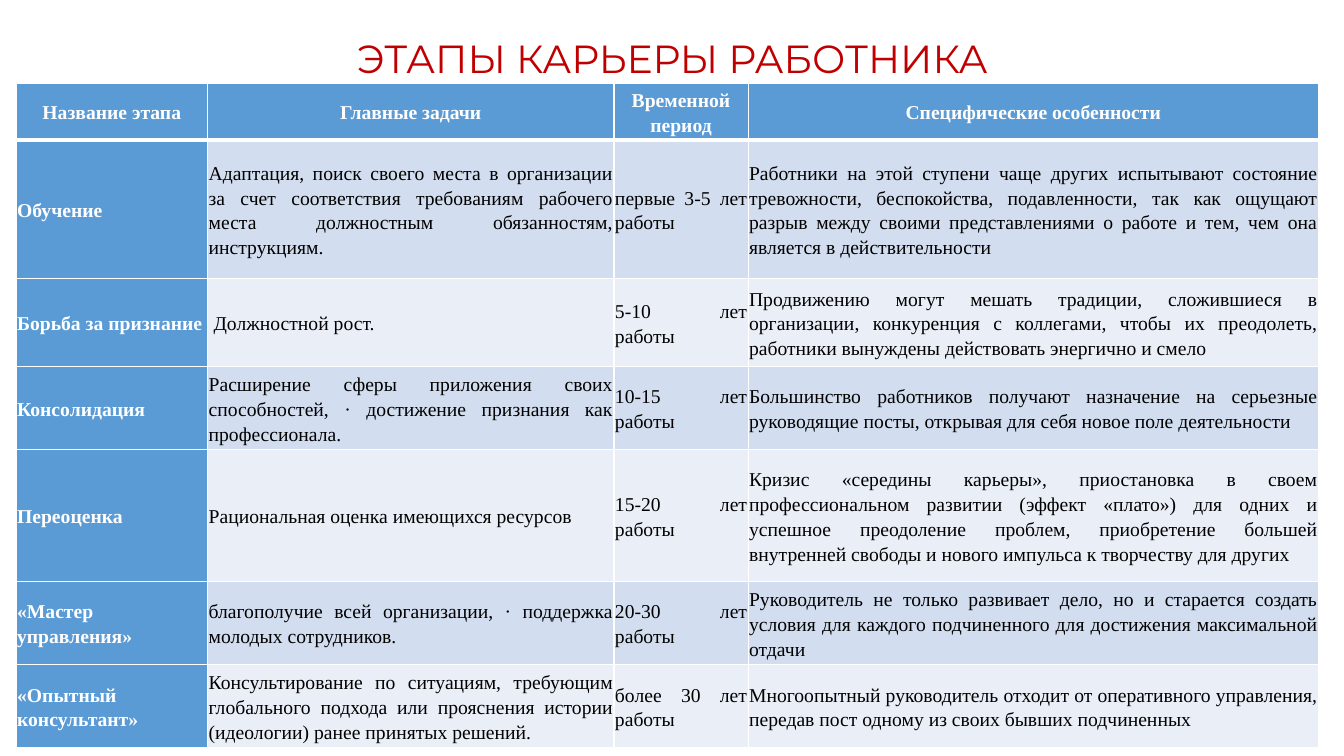
import pptx
import pptx.dml.color
import pptx.enum.text
import pptx.oxml
import pptx.oxml.ns
import pptx.util

Inches = pptx.util.Inches
Pt = pptx.util.Pt
RGBColor = pptx.dml.color.RGBColor
ALIGN = pptx.enum.text.PP_ALIGN
MIDDLE = pptx.enum.text.MSO_ANCHOR.MIDDLE

WHITE = RGBColor(0xFF, 0xFF, 0xFF)
BLACK = RGBColor(0x00, 0x00, 0x00)
RED = RGBColor(0xC0, 0x00, 0x00)
BLUE = RGBColor(0x5B, 0x9B, 0xD5)
BAND_DARK = RGBColor(0xD2, 0xDE, 0xEF)
BAND_LIGHT = RGBColor(0xEA, 0xEF, 0xF7)

COLUMN_WIDTHS = [1.9, 4.03, 1.33, 5.66]
ROW_HEIGHTS = [0.19, 1.38, 0.87, 0.72, 1.31, 0.72, 0.72]
STAGES = [
    ["Название этапа", "Главные задачи", "Временной период", "Специфические особенности"],
    ["Обучение",
     "Адаптация, поиск своего места в организации за счет соответствия требованиям "
     "рабочего места должностным обязанностям, инструкциям.",
     "первые 3-5 лет работы",
     "Работники на этой ступени чаще других испытывают состояние тревожности, "
     "беспокойства, подавленности, так как ощущают разрыв между своими "
     "представлениями о работе и тем, чем она является в действительности"],
    ["Борьба за признание",
     " Должностной рост.",
     "5-10 лет работы",
     "Продвижению могут мешать традиции, сложившиеся в организации, конкуренция с "
     "коллегами, чтобы их преодолеть, работники вынуждены действовать энергично и смело"],
    ["Консолидация",
     "Расширение сферы приложения своих способностей, · достижение признания как "
     "профессионала.",
     "10-15 лет работы",
     "Большинство работников получают назначение на серьезные руководящие посты, "
     "открывая для себя новое поле деятельности"],
    ["Переоценка",
     "Рациональная оценка имеющихся ресурсов",
     "15-20 лет работы",
     "Кризис «середины карьеры», приостановка в своем профессиональном развитии "
     "(эффект «плато») для одних и успешное преодоление проблем, приобретение большей "
     "внутренней свободы и нового импульса к творчеству для других"],
    ["«Мастер управления»",
     "благополучие всей организации, · поддержка молодых сотрудников.",
     "20-30 лет работы",
     "Руководитель не только развивает дело, но и старается создать условия для "
     "каждого подчиненного для достижения максимальной отдачи"],
    ["«Опытный консультант»",
     "Консультирование по ситуациям, требующим глобального подхода или прояснения "
     "истории (идеологии) ранее принятых решений.",
     "более 30 лет работы",
     "Многоопытный руководитель отходит от оперативного управления, передав пост "
     "одному из своих бывших подчиненных"],
]


def write_text(frame, text, font_name, size, color, align, spacing, bold=False):
    """Fill a text frame with one formatted paragraph."""
    frame.word_wrap = True
    para = frame.paragraphs[0]
    para.alignment = align
    para.line_spacing = spacing
    span = para.add_run()
    span.text = text
    span.font.name = font_name
    span.font.size = Pt(size)
    span.font.color.rgb = color
    span.font.bold = bold


def set_borders(cell, bottom_width):
    """Draw white lines on all four sides of a cell, before its fill."""
    properties = cell._tc.get_or_add_tcPr()
    for position, side in enumerate(["lnL", "lnR", "lnT", "lnB"]):
        width = bottom_width if side == "lnB" else 1
        line = pptx.oxml.parse_xml(
            f'<a:{side} {pptx.oxml.ns.nsdecls("a")} w="{Pt(width)}">'
            f'<a:solidFill><a:srgbClr val="{WHITE}"/></a:solidFill></a:{side}>')
        properties.insert(position, line)


def add_title(page, left, top, width, height):
    """Place the slide title in the given box."""
    box = page.shapes.add_textbox(Inches(left), Inches(top), Inches(width), Inches(height))
    box.text_frame.vertical_anchor = MIDDLE
    write_text(box.text_frame, "ЭТАПЫ КАРЬЕРЫ РАБОТНИКА", "Montserrat", 28, RED,
               ALIGN.CENTER, 0.9)


def style_cell(cell, text, row, column):
    """Format a cell by its place: header row, stage column or banded body."""
    is_header = row == 0
    is_label = is_header or column == 0
    cell.vertical_anchor = MIDDLE
    cell.margin_left = cell.margin_right = Inches(0.01)
    cell.margin_top = cell.margin_bottom = Inches(0.01)
    cell.fill.solid()
    band = BAND_DARK if row % 2 else BAND_LIGHT
    cell.fill.fore_color.rgb = BLUE if is_label else band
    set_borders(cell, 3 if is_header else 1)
    write_text(cell.text_frame, text, "Times New Roman", 14,
               WHITE if is_label else BLACK,
               ALIGN.CENTER if is_header else ALIGN.JUSTIFY, 1.15, is_label)


def add_stage_table(page, left, top, width, height):
    """Place the table of career stages in the given box."""
    frame = page.shapes.add_table(len(STAGES), len(COLUMN_WIDTHS), Inches(left),
                                  Inches(top), Inches(width), Inches(height))
    table = frame.table
    table.first_col = True
    for column, column_width in zip(table.columns, COLUMN_WIDTHS):
        column.width = Inches(column_width)
    for row, row_height in zip(table.rows, ROW_HEIGHTS):
        row.height = Inches(row_height)
    frame.height = Inches(height)
    for row, stage in enumerate(STAGES):
        for column, text in enumerate(stage):
            style_cell(table.cell(row, column), text, row, column)


def main():
    """Build the slide and save the deck."""
    deck = pptx.Presentation()
    deck.slide_width = Inches(13.33)
    deck.slide_height = Inches(7.5)
    page = deck.slides.add_slide(deck.slide_layouts[6])
    add_title(page, 0.92, 0.4, 11.5, 0.41)
    add_stage_table(page, 0.16, 0.83, 12.92, 6.56)
    deck.save("out.pptx")


if __name__ == "__main__":
    main()
